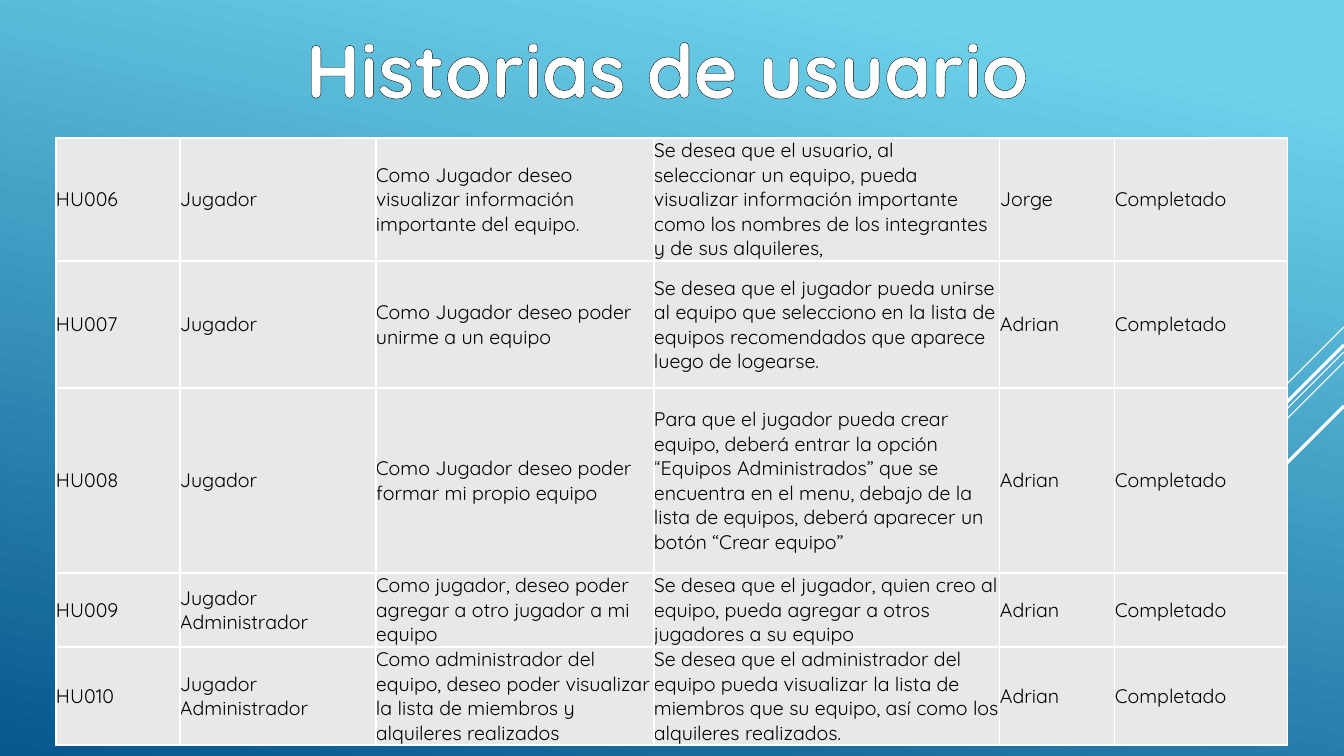
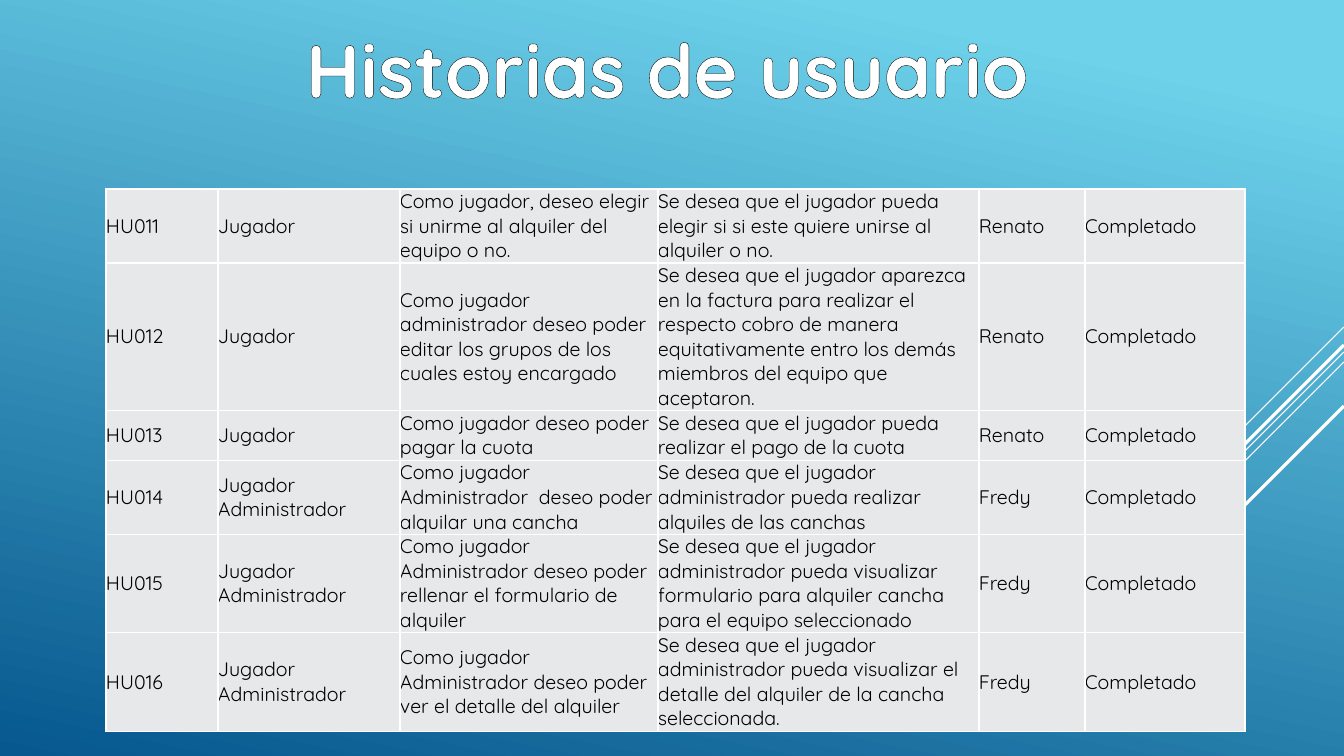
import lxml.etree
import pptx
import pptx.dml.color
import pptx.enum.shapes
import pptx.enum.text
import pptx.oxml
import pptx.oxml.ns
import pptx.util

EMU_PER_PX = 914400 / 100.8
SLIDE_WIDTH, SLIDE_HEIGHT = 1344, 756
FONT = "Quicksand"
COLORS = {
    "sky": "6ED2EB",
    "deep": "06588E",
    "white": "FFFFFF",
    "black": "000000",
    "cell": "E7E8EA",
}
TITLE_BOX = {"left": 256, "top": 17, "width": 822, "height": 102}
TITLE_FONT = {"name": FONT, "size": pptx.util.Pt(54), "bold": True}
CELL_FONT = {"name": FONT, "size": pptx.util.Pt(14), "bold": False}
CELL_FORMAT = {
    "margin_left": 0,
    "margin_right": 0,
    "margin_top": 0,
    "margin_bottom": 0,
    "vertical_anchor": pptx.enum.text.MSO_ANCHOR.MIDDLE,
}
# Start height on the right edge, horizontal reach, width in points
DIAGONALS = [
    (327, 100, 0.75),
    (352, 329, 0.75),
    (362, 209, 0.75),
    (345, 192, 2.25),
    (406, 140, 2.25),
]
STATUS = "Completado"
PLAYER = "Jugador"
MANAGER = "Jugador Administrador"
TABLES = [
    {
        "left": 56,
        "top": 138,
        "columns": [124, 196, 278, 346, 115, 173],
        "rows": [123, 127, 185, 74, 98],
        "stories": [
            ("HU006", PLAYER,
             "Como Jugador deseo visualizar información importante del equipo.",
             "Se desea que el usuario, al seleccionar un equipo, pueda visualizar información "
             "importante como los nombres de los integrantes y de sus alquileres,",
             "Jorge"),
            ("HU007", PLAYER,
             "Como Jugador deseo poder unirme a un equipo",
             "Se desea que el jugador pueda unirse al equipo que selecciono en la lista de "
             "equipos recomendados que aparece luego de logearse.",
             "Adrian"),
            ("HU008", PLAYER,
             "Como Jugador deseo poder formar mi propio equipo",
             "Para que el jugador pueda crear equipo, deberá entrar la opción “Equipos "
             "Administrados” que se encuentra en el menu, debajo de la lista de equipos, "
             "deberá aparecer un botón “Crear equipo”",
             "Adrian"),
            ("HU009", MANAGER,
             "Como jugador, deseo poder agregar a otro jugador a mi equipo",
             "Se desea que el jugador, quien creo al equipo, pueda agregar a otros jugadores "
             "a su equipo",
             "Adrian"),
            ("HU010", MANAGER,
             "Como administrador del equipo, deseo poder visualizar la lista de miembros y "
             "alquileres realizados",
             "Se desea que el administrador del equipo pueda visualizar la lista de miembros "
             "que su equipo, así como los alquileres realizados.",
             "Adrian"),
        ],
    },
    {
        "left": 106,
        "top": 189,
        "columns": [112, 182, 258, 321, 106, 160],
        "rows": [74, 147, 50, 74, 98, 99],
        "stories": [
            ("HU011", PLAYER,
             "Como jugador, deseo elegir si unirme al alquiler del equipo o no.",
             "Se desea que el jugador pueda elegir si si este quiere unirse al alquiler o no.",
             "Renato"),
            ("HU012", PLAYER,
             "Como jugador administrador deseo poder editar los grupos de los cuales estoy "
             "encargado",
             "Se desea que el jugador aparezca en la factura para realizar el respecto cobro "
             "de manera equitativamente entro los demás miembros del equipo que aceptaron.",
             "Renato"),
            ("HU013", PLAYER,
             "Como jugador deseo poder pagar la cuota",
             "Se desea que el jugador pueda realizar el pago de la cuota",
             "Renato"),
            ("HU014", MANAGER,
             "Como jugador Administrador  deseo poder alquilar una cancha",
             "Se desea que el jugador administrador pueda realizar alquiles de las canchas",
             "Fredy"),
            ("HU015", MANAGER,
             "Como jugador Administrador deseo poder rellenar el formulario de alquiler",
             "Se desea que el jugador administrador pueda visualizar formulario para alquiler "
             "cancha para el equipo seleccionado",
             "Fredy"),
            ("HU016", MANAGER,
             "Como jugador Administrador deseo poder ver el detalle del alquiler",
             "Se desea que el jugador administrador pueda visualizar el detalle del alquiler "
             "de la cancha seleccionada.",
             "Fredy"),
        ],
    },
]


def px(length):
    return pptx.util.Emu(round(length * EMU_PER_PX))


def outline(tag, color, points):
    """Return a solid line element, for a text outline or a cell border."""
    return pptx.oxml.parse_xml(
        f'<a:{tag} {pptx.oxml.ns.nsdecls("a")} w="{pptx.util.Pt(points)}">'
        f'<a:solidFill><a:srgbClr val="{COLORS[color]}"/></a:solidFill></a:{tag}>'
    )


rgb = {name: pptx.dml.color.RGBColor.from_string(value) for name, value in COLORS.items()}
presentation = pptx.Presentation()
presentation.slide_width = px(SLIDE_WIDTH)
presentation.slide_height = px(SLIDE_HEIGHT)

# Shared background and title position
master = presentation.slide_master
background = master.background.fill
background.gradient()
background.gradient_angle = 360 - 102
for stop, color, position in zip(background.gradient_stops, ("sky", "deep"), (0.1, 1)):
    stop.color.rgb = rgb[color]
    stop.position = position

layout = presentation.slide_layouts.get_by_name("Title Only")
for name, length in TITLE_BOX.items():
    setattr(layout.placeholders[0], name, px(length))

slides = [presentation.slides.add_slide(layout) for _ in TABLES]

# Diagonal lines are created on a slide and moved to the master
for number, (top, reach, points) in enumerate(DIAGONALS, start=20):
    diagonal = slides[0].shapes.add_connector(
        pptx.enum.shapes.MSO_CONNECTOR.STRAIGHT,
        px(SLIDE_WIDTH), px(top), px(SLIDE_WIDTH - reach), px(top + reach),
    )
    diagonal.line.color.rgb = rgb["white"]
    diagonal.line.width = pptx.util.Pt(points)
    lxml.etree.SubElement(diagonal.element.spPr, pptx.oxml.ns.qn("a:effectLst"))
    diagonal.element.nvCxnSpPr.cNvPr.set("id", str(number))
    master.shapes.element.append(diagonal.element)

for slide, content in zip(slides, TABLES):
    title = slide.shapes.title.text_frame
    title.text = "Historias de usuario"
    title.word_wrap = True
    paragraph = title.paragraphs[0]
    paragraph.alignment = pptx.enum.text.PP_ALIGN.CENTER
    run = paragraph.runs[0]
    for name, value in TITLE_FONT.items():
        setattr(run.font, name, value)
    run.font.color.rgb = rgb["white"]
    run.font._element.insert(0, outline("ln", "black", 0.75))

    columns, rows = content["columns"], content["rows"]
    table = slide.shapes.add_table(
        len(rows), len(columns), px(content["left"]), px(content["top"]),
        px(sum(columns)), px(sum(rows)),
    ).table
    table.first_row = table.horz_banding = False
    for column, width in zip(table.columns, columns):
        column.width = px(width)
    for row, height, story in zip(table.rows, rows, content["stories"]):
        row.height = px(height)
        for cell, text in zip(row.cells, (*story, STATUS)):
            cell.text = text
            for name, value in CELL_FORMAT.items():
                setattr(cell, name, value)
            cell.fill.solid()
            cell.fill.fore_color.rgb = rgb["cell"]
            font = cell.text_frame.paragraphs[0].runs[0].font
            for name, value in CELL_FONT.items():
                setattr(font, name, value)
            font.color.rgb = rgb["black"]
            properties = cell._tc.get_or_add_tcPr()
            for index, side in enumerate(("lnL", "lnR", "lnT", "lnB")):
                properties.insert(index, outline(side, "white", 1))

presentation.save("out.pptx")
